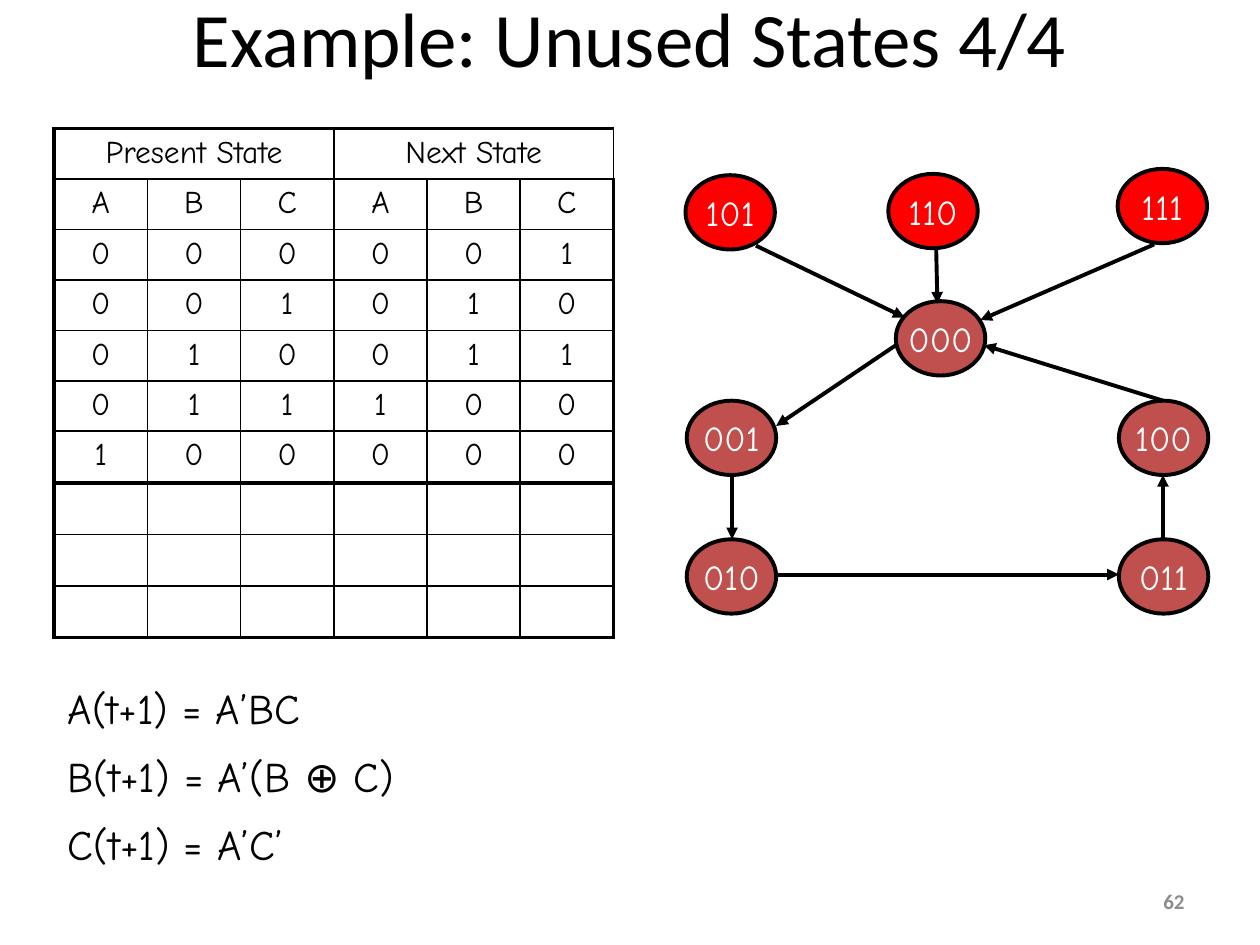
import pptx
import pptx.dml.color
import pptx.enum.shapes
import pptx.enum.text
import pptx.oxml
import pptx.oxml.ns
import pptx.util
from pptx.util import Inches

RGBColor = pptx.dml.color.RGBColor
Align = pptx.enum.text.PP_ALIGN
Anchor = pptx.enum.text.MSO_ANCHOR

BLACK = RGBColor(0x00, 0x00, 0x00)
WHITE = RGBColor(0xFF, 0xFF, 0xFF)
GRAY = RGBColor(0x8C, 0x8C, 0x8C)
USED_STATE = RGBColor(0xC0, 0x50, 0x4D)
UNUSED_STATE = RGBColor(0xFF, 0x00, 0x00)
HEADING_FONT = "Calibri"
BODY_FONT = "Comic Neue"
THIN, HEAVY = 1, 2.25

STATE_ROWS = ["ABCABC", "000001", "001010", "010011", "011100", "100000"]
EMPTY_ROWS = 3
EQUATIONS = ["A(t+1) = A’BC", "B(t+1) = A’(B ⊕ C)", "C(t+1) = A’C’"]

# Positions are relative to the diagram's top left corner.
STATE_WIDTH, STATE_HEIGHT = 0.71, 0.59
STATES = {
    "000": (1.67, 1.05, USED_STATE),
    "001": (0.01, 1.84, USED_STATE),
    "010": (0.01, 2.94, USED_STATE),
    "011": (3.44, 2.94, USED_STATE),
    "100": (3.44, 1.84, USED_STATE),
    "101": (0, 0.05, UNUSED_STATE),
    "110": (1.61, 0.04, UNUSED_STATE),
    "111": (3.43, 0, UNUSED_STATE),
}
TRANSITIONS = [
    ((1.67, 1.4), (0.72, 2.04)),
    ((0.37, 2.43), (0.37, 2.94)),
    ((3.79, 2.94), (3.79, 2.43)),
    ((3.79, 1.84), (2.37, 1.4)),
    ((0.72, 3.22), (3.44, 3.22)),
    ((3.72, 0.6), (2.34, 1.2)),
    ((0.56, 0.61), (1.74, 1.18)),
    ((1.99, 0.63), (2.0, 1.07)),
]


def write(frame, text, size, name=BODY_FONT, color=BLACK, alignment=Align.LEFT, bold=False):
    frame.text = text
    paragraph = frame.paragraphs[0]
    paragraph.alignment = alignment
    formats = {"size": pptx.util.Pt(size), "name": name, "bold": bold}
    for key, value in formats.items():
        setattr(paragraph.font, key, value)
    paragraph.font.color.rgb = color


def add_title(slide, left, top, width, height):
    title = slide.shapes.title
    box = {"left": left, "top": top, "width": width, "height": height}
    for key, value in box.items():
        setattr(title, key, Inches(value))
    title.text_frame.vertical_anchor = Anchor.MIDDLE
    write(title.text_frame, "Example: Unused States 4/4", 44, HEADING_FONT, alignment=Align.CENTER)


def add_slide_number(slide, left, top, width, height):
    box = slide.shapes.add_textbox(*map(Inches, (left, top, width, height)))
    box.text_frame.word_wrap = True
    box.text_frame.vertical_anchor = Anchor.MIDDLE
    write(box.text_frame, "62", 12, HEADING_FONT, GRAY, Align.RIGHT, bold=True)


def set_borders(cell, widths):
    """Draw black cell borders; widths maps side letters L, R, T, B to points."""
    properties = cell._tc.get_or_add_tcPr()
    for side, width in widths.items():
        properties.append(pptx.oxml.parse_xml(
            f'<a:ln{side} {pptx.oxml.ns.nsdecls("a")} w="{pptx.util.Pt(width)}">'
            f'<a:solidFill><a:srgbClr val="{BLACK}"/></a:solidFill></a:ln{side}>'))


def add_state_table(slide, left, top, width):
    rows, columns = 1 + len(STATE_ROWS) + EMPTY_ROWS, 6
    last_filled = len(STATE_ROWS)
    heights = [0.34] * last_filled + [0.41] * (rows - last_filled)
    table = slide.shapes.add_table(
        rows, columns, *map(Inches, (left, top, width, sum(heights)))).table
    table.first_row = table.horz_banding = False
    for column in table.columns:
        column.width = Inches(width / columns)
    for row, height in zip(table.rows, heights):
        row.height = Inches(height)

    for row in range(rows):
        for column in range(columns):
            cell = table.cell(row, column)
            set_borders(cell, {
                "L": HEAVY if column == 0 else THIN,
                "R": HEAVY if column == columns - 1 else THIN,
                "T": HEAVY if row in (0, last_filled + 1) else THIN,
                "B": HEAVY if row in (last_filled, rows - 1) else THIN,
            })
            cell.fill.background()
            if 1 <= row <= last_filled:
                write(cell.text_frame, STATE_ROWS[row - 1][column], 18, alignment=Align.CENTER)

    for column, heading in ((0, "Present State"), (3, "Next State")):
        cell = table.cell(0, column)
        cell.merge(table.cell(0, column + 2))
        write(cell.text_frame, heading, 18, alignment=Align.CENTER)


def add_equations(slide, left, top, width, pitch):
    for index, equation in enumerate(EQUATIONS):
        box = slide.shapes.add_textbox(
            *map(Inches, (left, top + index * pitch, width, 0.5)))
        box.text_frame.word_wrap = True
        box.text_frame.auto_size = pptx.enum.text.MSO_AUTO_SIZE.SHAPE_TO_FIT_TEXT
        write(box.text_frame, equation, 24)


def add_state(slide, label, left, top, color):
    state = slide.shapes.add_shape(
        pptx.enum.shapes.MSO_SHAPE.OVAL,
        *map(Inches, (left, top, STATE_WIDTH, STATE_HEIGHT)))
    state.shadow.inherit = False
    state.fill.solid()
    state.fill.fore_color.rgb = color
    state.line.color.rgb = BLACK
    state.line.width = pptx.util.Pt(HEAVY)
    state.text_frame.word_wrap = False
    state.text_frame.vertical_anchor = Anchor.MIDDLE
    write(state.text_frame, label, 20, color=WHITE, alignment=Align.CENTER)


def add_arrow(slide, start_x, start_y, end_x, end_y):
    arrow = slide.shapes.add_connector(
        pptx.enum.shapes.MSO_CONNECTOR.STRAIGHT,
        *map(Inches, (start_x, start_y, end_x, end_y)))
    arrow.line.color.rgb = BLACK
    arrow.line.width = pptx.util.Pt(HEAVY)
    namespace = pptx.oxml.ns.nsdecls("a")
    arrow.line._get_or_add_ln().append(
        pptx.oxml.parse_xml(f'<a:tailEnd {namespace} type="triangle"/>'))
    arrow._element.spPr.append(pptx.oxml.parse_xml(f"<a:effectLst {namespace}/>"))


def add_state_diagram(slide, left, top):
    for label, (x, y, color) in STATES.items():
        add_state(slide, label, left + x, top + y, color)
    for (start_x, start_y), (end_x, end_y) in TRANSITIONS:
        add_arrow(slide, left + start_x, top + start_y, left + end_x, top + end_y)


def main():
    presentation = pptx.Presentation()
    presentation.slide_width = Inches(10)
    presentation.slide_height = Inches(7.5)
    slide = presentation.slides.add_slide(presentation.slide_layouts[5])
    add_slide_number(slide, 7.17, 6.95, 2.33, 0.4)
    add_title(slide, 0.5, -0.33, 9, 1.25)
    add_state_table(slide, 0.43, 1.02, 4.44)
    add_equations(slide, 0.44, 5.37, 2.9, 0.54)
    add_state_diagram(slide, 5.44, 1.34)
    presentation.save("out.pptx")


if __name__ == "__main__":
    main()
